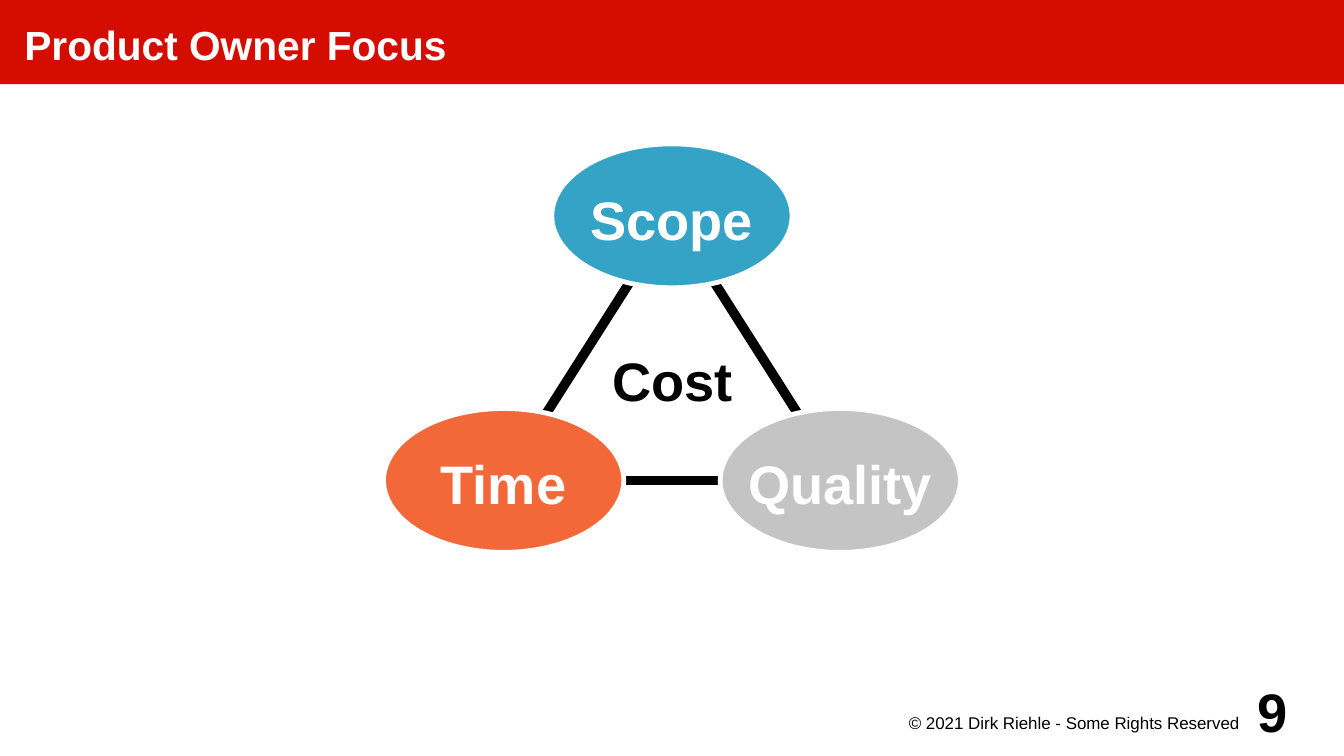
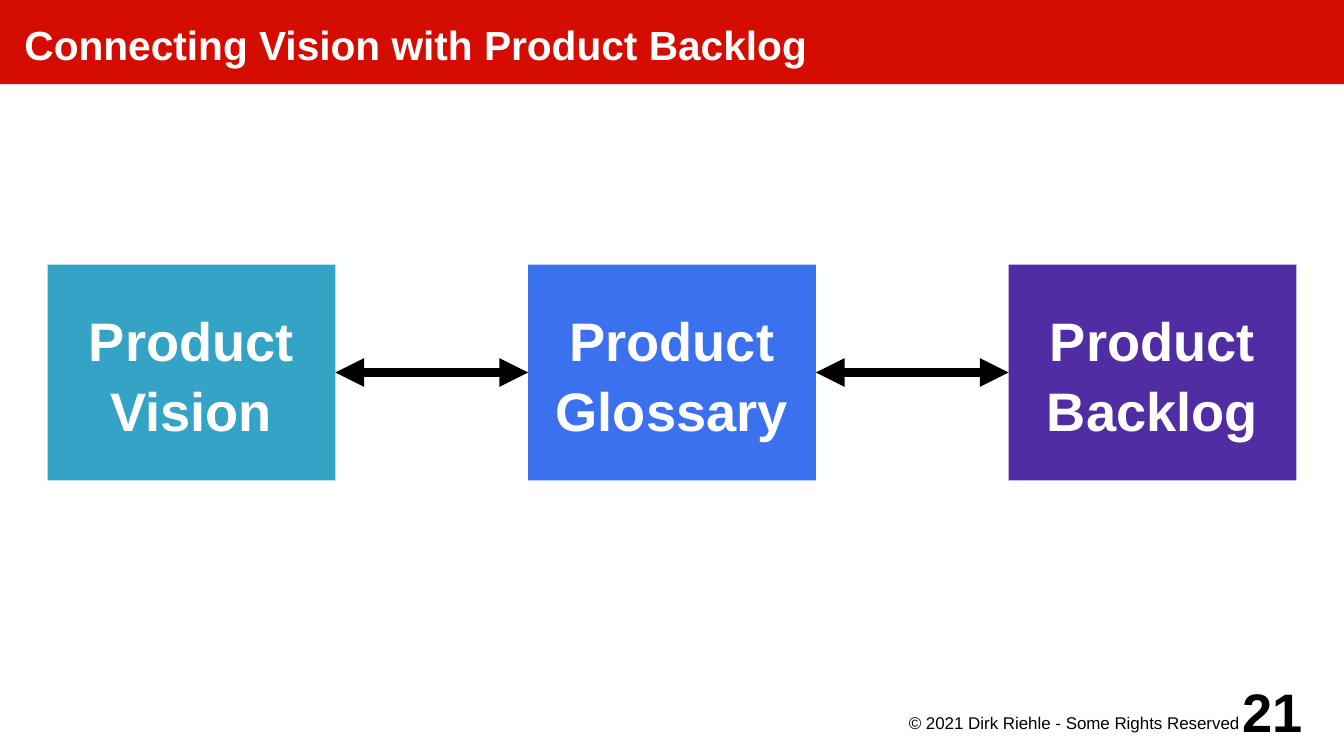
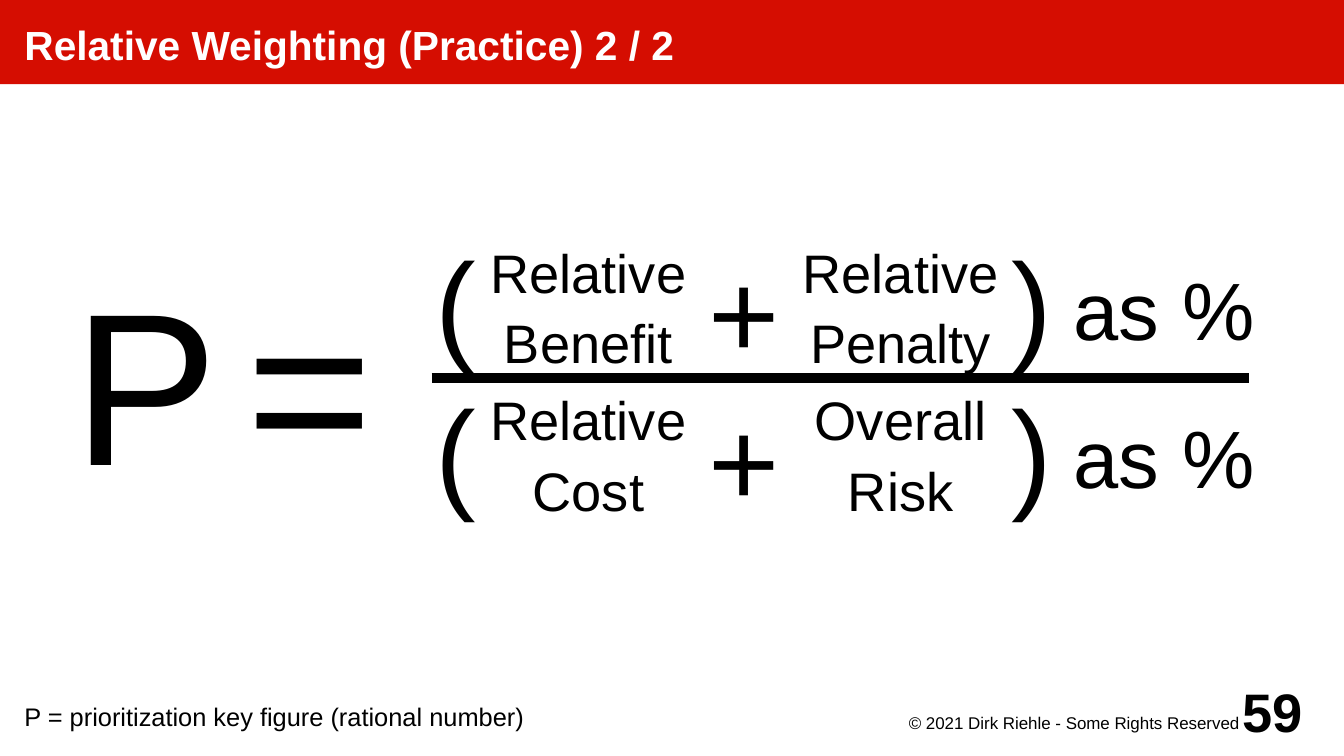
import pptx
import pptx.dml.color
import pptx.enum.shapes
import pptx.enum.text
import pptx.oxml.ns
import pptx.util
from lxml import etree

Inches = pptx.util.Inches
Pt = pptx.util.Pt
RGBColor = pptx.dml.color.RGBColor
Align = pptx.enum.text.PP_ALIGN
Anchor = pptx.enum.text.MSO_ANCHOR
ShapeType = pptx.enum.shapes.MSO_SHAPE
qn = pptx.oxml.ns.qn

RED = RGBColor(0xD5, 0x0D, 0x01)
TEAL = RGBColor(0x34, 0xA3, 0xC5)
ORANGE = RGBColor(0xF3, 0x68, 0x38)
GREY = RGBColor(0xC4, 0xC4, 0xC4)
BLUE = RGBColor(0x3B, 0x70, 0xEE)
PURPLE = RGBColor(0x50, 0x2D, 0xA2)
BLACK = RGBColor(0, 0, 0)
WHITE = RGBColor(0xFF, 0xFF, 0xFF)

FONT = "Arial"
LINE_SPACING = 1.08
WIDTH, HEIGHT = 11.02, 6.2
MARGINS = (0.08, 0.08, 0.08, 0.08)


def write_text(shape, lines, size, color=BLACK, bold=False, align=Align.CENTER,
               anchor=Anchor.MIDDLE, margins=MARGINS, wrap=True):
    frame = shape.text_frame
    frame.auto_size = pptx.enum.text.MSO_AUTO_SIZE.NONE
    frame.word_wrap = wrap
    frame.vertical_anchor = anchor
    (frame.margin_left, frame.margin_top,
     frame.margin_right, frame.margin_bottom) = [Inches(margin) for margin in margins]
    frame.text = "\n".join(lines)
    for paragraph in frame.paragraphs:
        paragraph.alignment = align
        paragraph.line_spacing = LINE_SPACING
        paragraph.font.name = FONT
        paragraph.font.size = Pt(size)
        paragraph.font.bold = bold
        paragraph.font.color.rgb = color


def add_line(slide, start, end):
    points = [Inches(value) for value in (*start, *end)]
    line = slide.shapes.add_connector(pptx.enum.shapes.MSO_CONNECTOR.STRAIGHT, *points)
    line.line.color.rgb = BLACK
    line.line.width = Pt(5.67)
    etree.SubElement(line._element.spPr, qn("a:effectLst"))
    return line


presentation = pptx.Presentation()
presentation.slide_width = Inches(WIDTH)
presentation.slide_height = Inches(HEIGHT)

# Shared frame: title band, copyright line and page number
slides = []
for title, number in [
    ("Product Owner Focus", "9"),
    ("Connecting Vision with Product Backlog", "21"),
    ("Relative Weighting (Practice) 2 / 2", "59"),
]:
    slide = presentation.slides.add_slide(presentation.slide_layouts[5])
    band = slide.shapes.title
    band.left, band.top = Inches(0), Inches(0)
    band.width, band.height = Inches(WIDTH), Inches(0.69)
    band.fill.solid()
    band.fill.fore_color.rgb = RED
    write_text(band, [title], 24, WHITE, True, Align.LEFT, margins=(0.2, 0, 0, 0))

    footer = slide.shapes.add_textbox(Inches(7.09), Inches(5.81), Inches(3.15), Inches(0.3))
    write_text(footer, ["© 2021 Dirk Riehle - Some Rights Reserved"], 10,
               align=Align.RIGHT, anchor=Anchor.TOP, margins=(0, 0.02, 0.08, 0))
    page = slide.shapes.add_textbox(Inches(10.04), Inches(5.51), Inches(0.79), Inches(0.59))
    write_text(page, [number], 32, bold=True, margins=(0, 0, 0, 0))
    slides.append(slide)

focus_slide, vision_slide, weighting_slide = slides

# Slide 1: triangle of scope, time and quality around cost
ELLIPSE_WIDTH, ELLIPSE_HEIGHT = 1.97, 1.18
corners = [
    ("Quality", GREY, (6.89, 3.94)),
    ("Scope", TEAL, (5.51, 1.77)),
    ("Time", ORANGE, (4.13, 3.94)),
]
for index, corner in enumerate(corners):
    add_line(focus_slide, corners[index - 1][2], corner[2])
for label, color, (center_x, center_y) in corners:
    ellipse = focus_slide.shapes.add_shape(
        ShapeType.OVAL,
        Inches(center_x - ELLIPSE_WIDTH / 2), Inches(center_y - ELLIPSE_HEIGHT / 2),
        Inches(ELLIPSE_WIDTH), Inches(ELLIPSE_HEIGHT))
    ellipse.shadow.inherit = False
    ellipse.fill.solid()
    ellipse.fill.fore_color.rgb = color
    ellipse.line.color.rgb = WHITE
    ellipse.line.width = Pt(2.83)
    write_text(ellipse, [label], 32, WHITE, True, wrap=False)
cost = focus_slide.shapes.add_textbox(Inches(4.53), Inches(2.4), Inches(1.97), Inches(1.38))
write_text(cost, ["Cost"], 32, bold=True)

# Slide 2: three boxes in a row, joined by double arrows
boxes = []
for index, (word, color) in enumerate(
        [("Vision", TEAL), ("Glossary", BLUE), ("Backlog", PURPLE)]):
    box = vision_slide.shapes.add_shape(
        ShapeType.RECTANGLE, Inches(0.39 + 3.94 * index), Inches(2.17),
        Inches(2.36), Inches(1.77))
    box.shadow.inherit = False
    box.fill.solid()
    box.fill.fore_color.rgb = color
    box.line.fill.background()
    write_text(box, ["Product", word], 32, WHITE, True)
    boxes.append(box)
for left_box, right_box in zip(boxes, boxes[1:]):
    arrow = add_line(vision_slide, (0, 0), (1, 0))
    arrow.begin_connect(left_box, 3)
    arrow.end_connect(right_box, 1)
    for end in ("a:headEnd", "a:tailEnd"):
        etree.SubElement(arrow.line._get_or_add_ln(), qn(end), type="triangle")

# Slide 3: fraction with the same layout above and below the bar
ROW_STEP = 1.21
for row, (first, second) in enumerate([
    (["Relative", "Benefit"], ["Relative", "Penalty"]),
    (["Relative", "Cost"], ["Overall", "Risk"]),
]):
    for lines, size, left, top, width, height in [
        (["("], 72, 3.15, 1.77, 1.18, 1.3),
        (first, 32, 3.35, 1.92, 2.95, 1.15),
        (["+"], 72, 5.51, 1.86, 1.18, 1.27),
        (second, 32, 5.91, 1.92, 2.95, 1.15),
        ([")"], 72, 7.87, 1.77, 1.18, 1.3),
        (["as %"], 48, 8.66, 1.92, 1.77, 1.15),
    ]:
        term = weighting_slide.shapes.add_textbox(
            Inches(left), Inches(top + ROW_STEP * row), Inches(width), Inches(height))
        write_text(term, lines, size)
add_line(weighting_slide, (3.54, 3.1), (10.24, 3.1))

# Left side of the equation, with a narrower space
result = weighting_slide.shapes.add_textbox(
    Inches(0.53), Inches(1.95), Inches(2.61), Inches(2.14))
write_text(result, ["P"], 128, wrap=False)
for text, size in [(" ", 60), ("=", 128)]:
    run = result.text_frame.paragraphs[0].add_run()
    run.text = text
    run.font.size = Pt(size)

# Footnote
footnote = weighting_slide.shapes.add_textbox(
    Inches(0), Inches(5.02), Inches(7.87), Inches(1.18))
write_text(footnote, ["P = prioritization key figure (rational number)"], 15,
           align=Align.LEFT, anchor=Anchor.BOTTOM, margins=(0.2, 0, 0, 0.2))

presentation.save("out.pptx")
